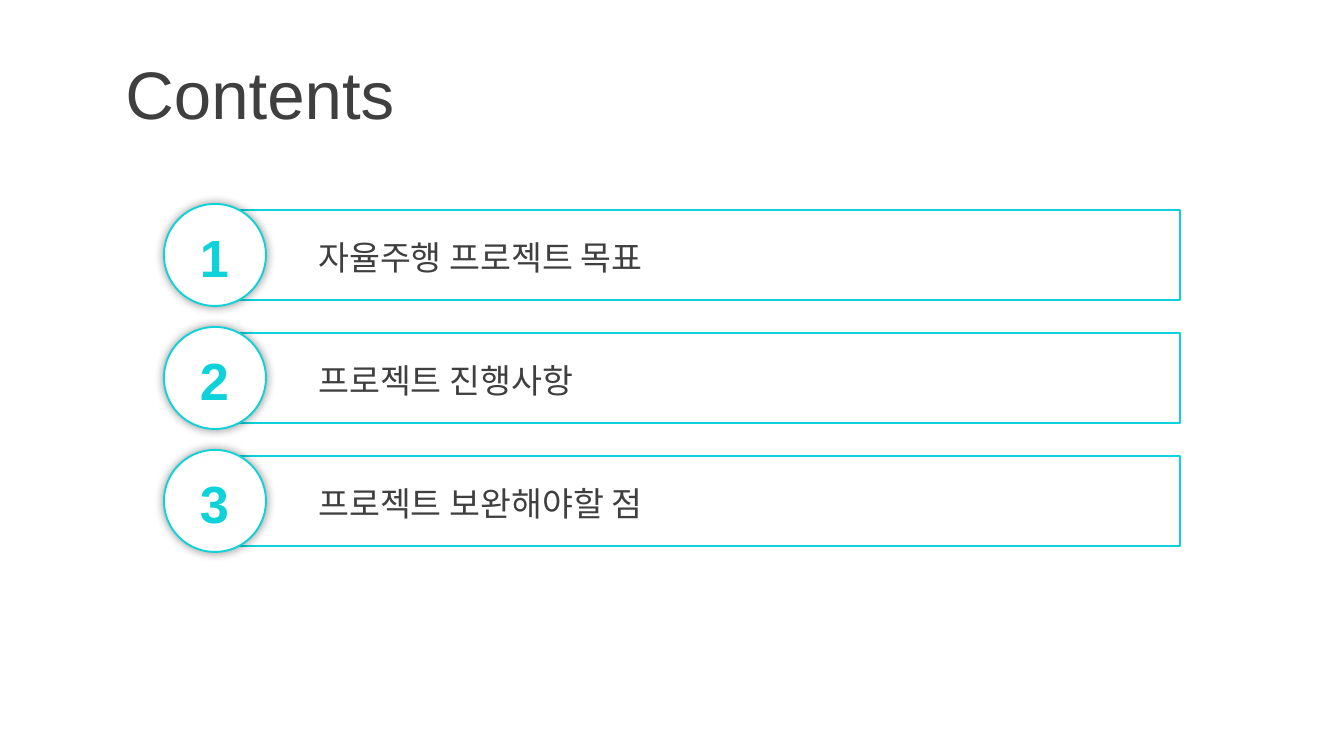
"""Build the contents slide: a title and numbered agenda rows."""
import pptx
import pptx.dml.color
import pptx.enum.shapes
import pptx.enum.text
import pptx.oxml
import pptx.oxml.ns
import pptx.util

TITLE = "Contents"
TOPICS = ["자율주행 프로젝트 목표", "프로젝트 진행사항", "프로젝트 보완해야할 점"]
COLORS = {"accent": "0DD2D9", "text": "3F3F3F", "white": "FFFFFF", "shadow": "000000"}
FONT = "Arial"

SCALE = pptx.util.Inches(10) / 1344
SLIDE_SIZE = (1344, 756)
TITLE_BOX = (112, 50, 1232, 85)
BAR_BOX = (214, 210, 966, 90)
TOPIC_BOX = (305, 234, 844, 46)
CIRCLE_BOX = (164, 204, 102, 102)
NUMBER_BOX = (183, 218, 63, 77)
ROW_PITCH = 123

ALIGN = pptx.enum.text.PP_ALIGN
SHAPES = pptx.enum.shapes.MSO_SHAPE


def emu(pixels):
    return pptx.util.Emu(round(pixels * SCALE))


def place(box, row=0):
    left, top, width, height = box
    return [emu(value) for value in (left, top + row * ROW_PITCH, width, height)]


def rgb(name):
    return pptx.dml.color.RGBColor.from_string(COLORS[name])


def write(shape, text, size, color, bold=False, align=ALIGN.LEFT):
    frame = shape.text_frame
    frame.text = text
    frame.word_wrap = True
    frame.auto_size = pptx.enum.text.MSO_AUTO_SIZE.NONE
    frame.vertical_anchor = pptx.enum.text.MSO_ANCHOR.MIDDLE
    paragraph = frame.paragraphs[0]
    paragraph.alignment = align
    font = paragraph.runs[0].font
    font.name = FONT
    font.size = pptx.util.Pt(size)
    font.bold = bold
    font.color.rgb = rgb(color)


def add_outline(slide, kind, box, row):
    shape = slide.shapes.add_shape(kind, *place(box, row))
    shape.shadow.inherit = False
    shape.fill.background()
    shape.line.color.rgb = rgb("accent")
    shape.line.width = pptx.util.Pt(1)
    return shape


def add_glow_shadow(shape):
    effects = shape._element.spPr.find(pptx.oxml.ns.qn("a:effectLst"))
    effects.append(pptx.oxml.parse_xml(
        f'<a:outerShdw {pptx.oxml.ns.nsdecls("a")} blurRad="{pptx.util.Pt(5)}" '
        f'dist="0" dir="0" algn="ctr" rotWithShape="0">'
        f'<a:srgbClr val="{COLORS["shadow"]}"><a:alpha val="40000"/></a:srgbClr>'
        f'</a:outerShdw>'))


def add_row(slide, row, topic):
    add_outline(slide, SHAPES.RECTANGLE, BAR_BOX, row)
    write(slide.shapes.add_textbox(*place(TOPIC_BOX, row)), topic, 18, "text")
    circle = add_outline(slide, SHAPES.OVAL, CIRCLE_BOX, row)
    circle.fill.solid()
    circle.fill.fore_color.rgb = rgb("white")
    add_glow_shadow(circle)
    number = slide.shapes.add_textbox(*place(NUMBER_BOX, row))
    write(number, str(row + 1), 28, "accent", True, ALIGN.CENTER)


def main():
    presentation = pptx.Presentation()
    presentation.slide_width, presentation.slide_height = map(emu, SLIDE_SIZE)
    slide = presentation.slides.add_slide(presentation.slide_layouts[5])
    title = slide.shapes.title
    title.left, title.top, title.width, title.height = place(TITLE_BOX)
    write(title, TITLE, 36, "text")
    for row, topic in enumerate(TOPICS):
        add_row(slide, row, topic)
    presentation.save("out.pptx")


if __name__ == "__main__":
    main()
